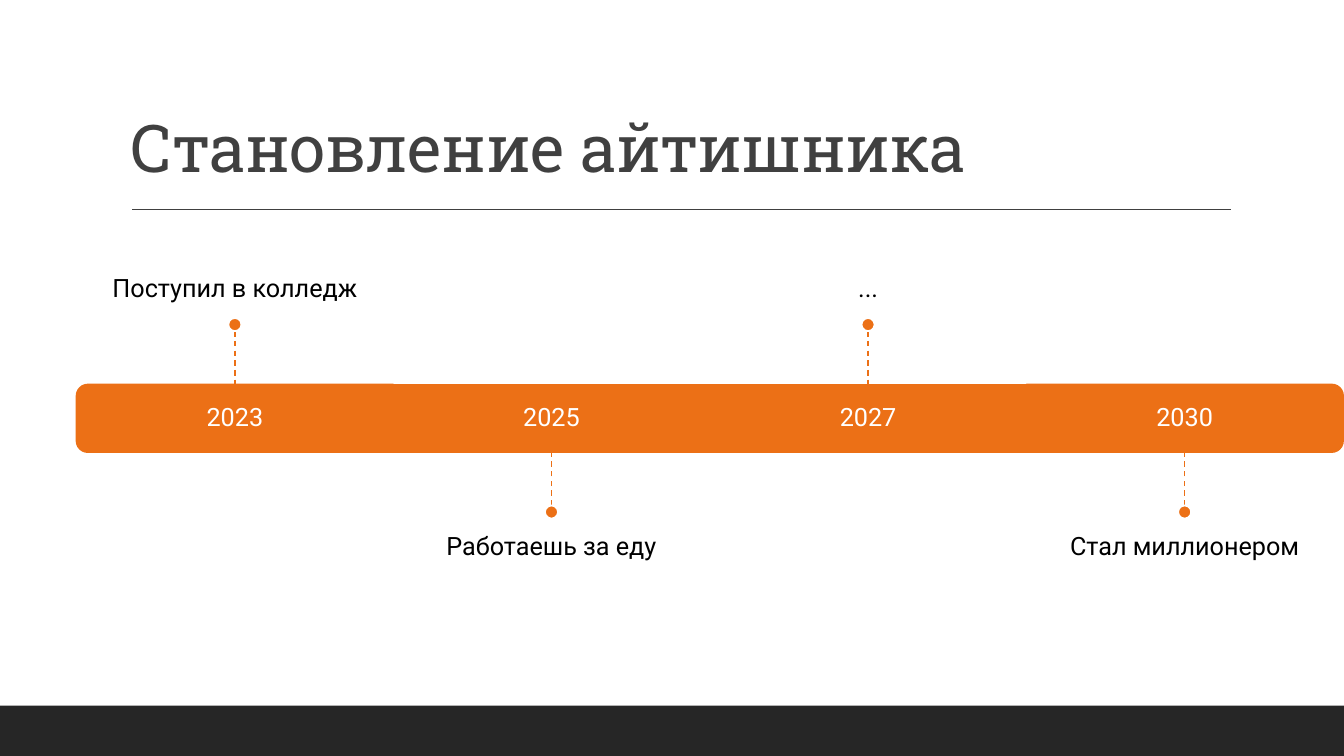
from pptx import Presentation
from pptx.dml.color import RGBColor as RGB
from pptx.enum.dml import MSO_LINE as Dash
from pptx.enum.shapes import MSO_CONNECTOR as Conn, MSO_SHAPE as Kind
from pptx.enum.text import MSO_ANCHOR as Anchor, PP_ALIGN as Align
from pptx.oxml.ns import qn
from pptx.util import Inches, Pt

ORANGE, WHITE, BLACK = "EC7016", "FFFFFF", "000000"
GRAY, DARK = "404040", "262626"

STEPS = [
    ("2023", "Поступил в колледж"),
    ("2025", "Работаешь за еду"),
    ("2027", "..."),
    ("2030", "Стал миллионером"),
]
FIRST, STEP = 2.33, 3.14  # first centre and distance between centres
MID, HIGH = 4.15, 0.67    # centre line and height of the bar
STEM, DOT = 0.53, 0.13
LABEL = 1.2               # height of an event label


def color(code):
    return RGB.from_string(code)


def apply(item, values):
    for name, value in values.items():
        setattr(item, name, value)


def add_shape(slide, kind, box, fill, edge=None, turn=0):
    shape = slide.shapes.add_shape(kind, *map(Inches, box))
    shape.shadow.inherit = False
    shape.rotation = turn
    shape.fill.solid()
    shape.fill.fore_color.rgb = color(fill)
    if edge:
        shape.line.color.rgb = color(edge)
        shape.line.width = Pt(1.25)
    else:
        shape.line.fill.background()


def add_line(slide, start, end, tint, dash=None):
    line = slide.shapes.add_connector(Conn.STRAIGHT, *map(Inches, start + end))
    line.line.color.rgb = color(tint)
    apply(line.line, {"width": Pt(1), "dash_style": dash})
    props = line._element.spPr
    props.append(props.makeelement(qn("a:effectLst"), {}))


def add_text(slide, text, box, tint, anchor, pads, size=18, face="Roboto",
             align=Align.CENTER):
    frame = slide.shapes.add_textbox(*map(Inches, box)).text_frame
    sides = ("margin_left", "margin_top", "margin_right", "margin_bottom")
    apply(frame, dict(zip(sides, map(Inches, pads))))
    apply(frame, {"word_wrap": True, "vertical_anchor": anchor})
    para = frame.paragraphs[0]
    apply(para, {"alignment": align, "line_spacing": 0.9})
    run = para.add_run()
    run.text = text
    apply(run.font, {"size": Pt(size), "name": face})
    run.font.color.rgb = color(tint)
    return run


def add_band(slide, index, year):
    mid = FIRST + index * STEP
    box = (mid - STEP / 2, MID - HIGH / 2, STEP, HIGH)
    # The outer bands are upright shapes turned on their side
    turn = {0: 270, len(STEPS) - 1: 90}.get(index)
    if turn:
        tall = (mid - HIGH / 2, MID - STEP / 2, HIGH, STEP)
        add_shape(slide, Kind.ROUND_2_SAME_RECTANGLE, tall, ORANGE, ORANGE, turn)
    else:
        add_shape(slide, Kind.RECTANGLE, box, ORANGE, ORANGE)
    add_text(slide, year, box, WHITE, Anchor.MIDDLE, (0.15,) * 4)


def add_event(slide, index, text):
    mid = FIRST + index * STEP
    side = 1 if index % 2 else -1  # labels alternate: above, below
    edge = MID + side * HIGH / 2
    tip = edge + side * STEM
    far = tip + side * DOT
    if side < 0:
        top, dot, anchor, pads = far - LABEL, far, Anchor.BOTTOM, (0, 0, 0, 0.15)
    else:
        top, dot, anchor, pads = far, tip, Anchor.TOP, (0, 0.15, 0, 0)
    box = (mid - STEP / 2, top, STEP, LABEL)
    add_text(slide, text, box, BLACK, anchor, pads)
    add_line(slide, (mid, tip), (mid, edge), ORANGE, Dash.DASH)
    add_shape(slide, Kind.OVAL, (mid - DOT / 2, dot, DOT, DOT), ORANGE, WHITE)


def main():
    deck = Presentation()
    apply(deck, {"slide_width": Inches(13.33), "slide_height": Inches(7.5)})
    slide = deck.slides.add_slide(deck.slide_layouts[6])

    # Footer band, title and rule
    add_shape(slide, Kind.RECTANGLE, (0, 7, 13.33, 0.5), DARK)
    add_line(slide, (1.31, 2.08), (12.21, 2.08), GRAY)
    title = add_text(slide, "Становление айтишника", (1.2, 0.31, 11, 1.59), GRAY,
                     Anchor.BOTTOM, (0.1, 0.05, 0.1, 0.05), 47, "Roboto Slab",
                     Align.LEFT)
    title.font._element.set("spc", "-50")

    # Timeline
    for index, (year, text) in enumerate(STEPS):
        add_band(slide, index, year)
        add_event(slide, index, text)

    deck.save("out.pptx")


if __name__ == "__main__":
    main()
